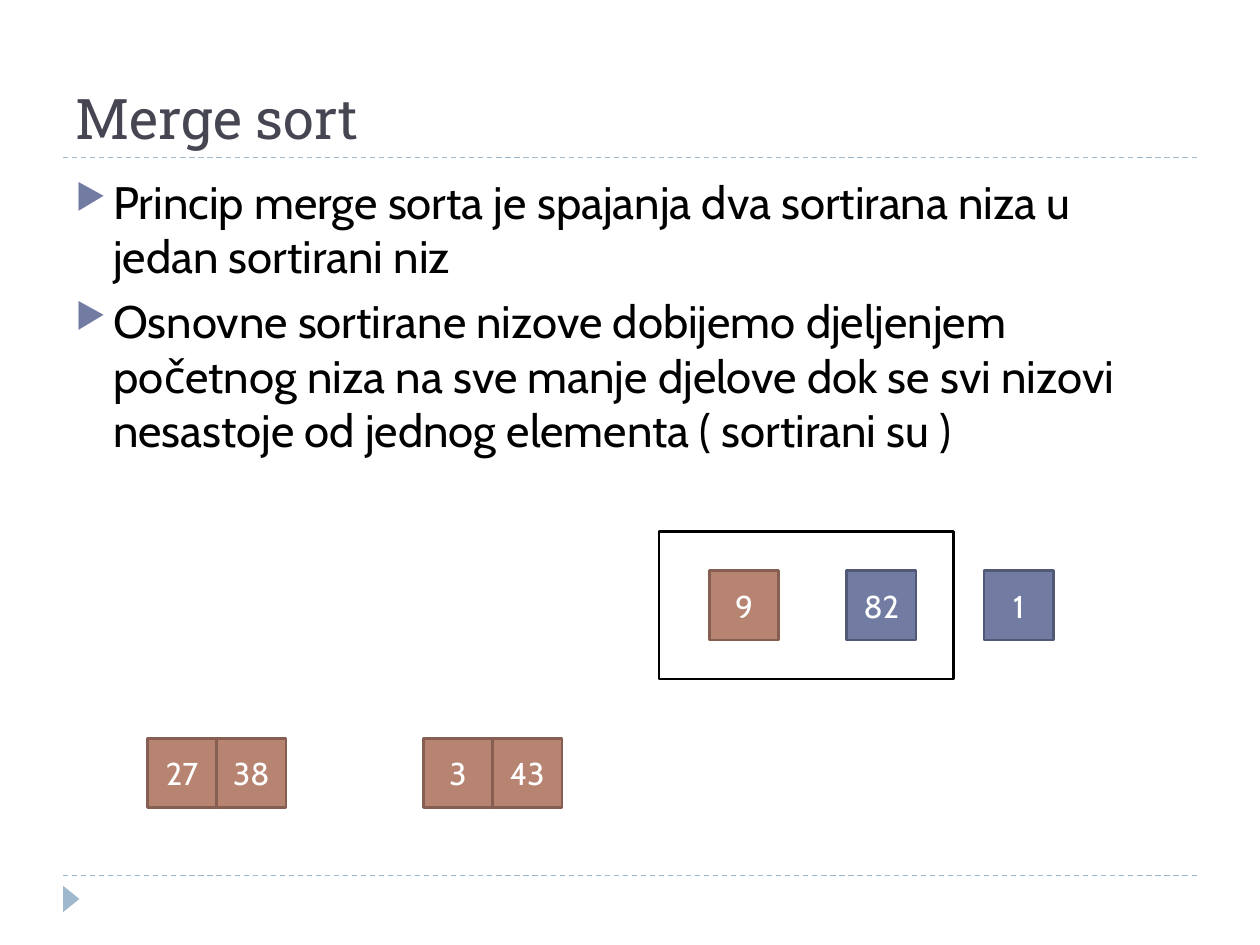
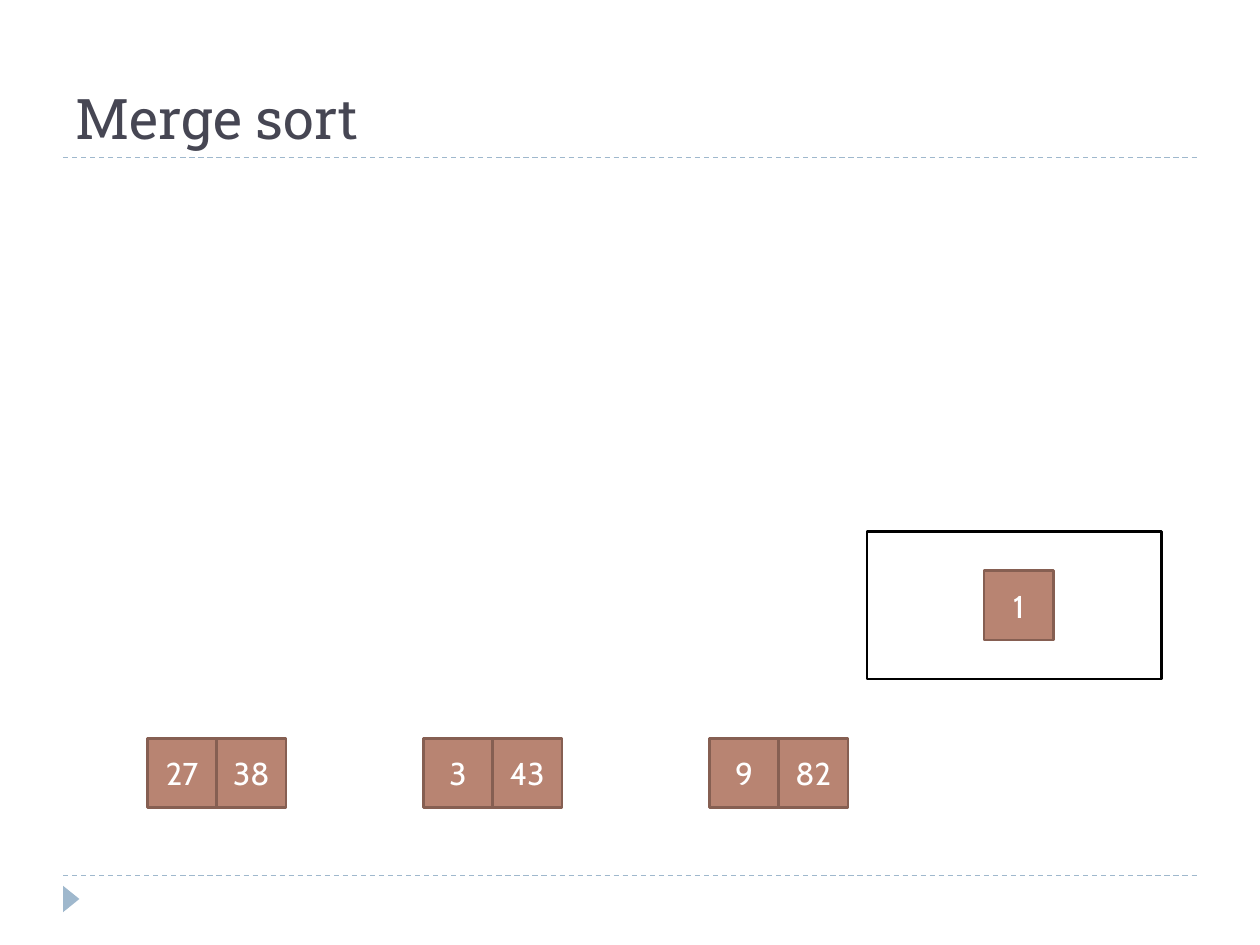
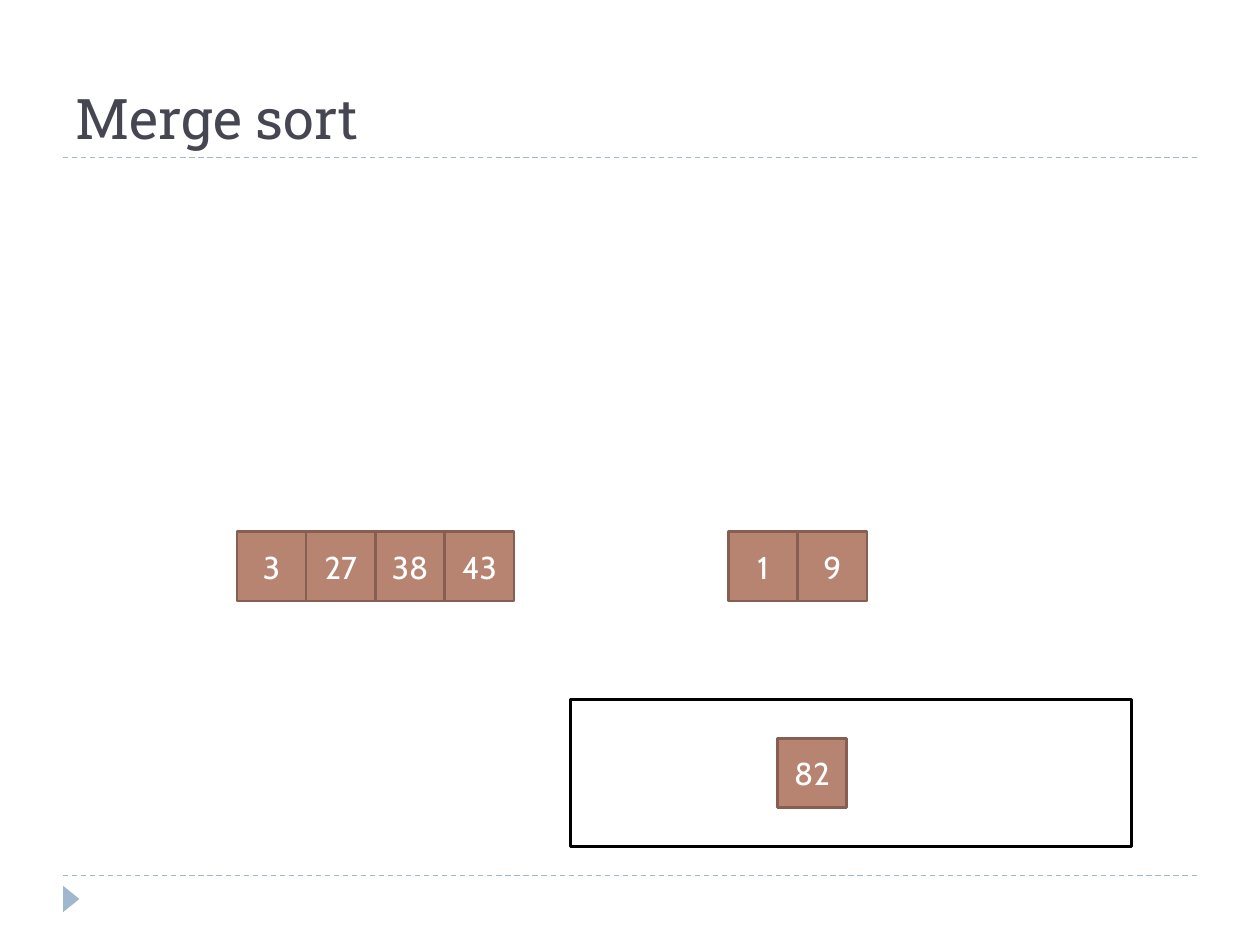
from dataclasses import dataclass

from lxml.etree import SubElement
from pptx import Presentation
from pptx.dml.color import RGBColor
from pptx.enum.dml import MSO_LINE
from pptx.enum.shapes import MSO_CONNECTOR, MSO_SHAPE
from pptx.enum.text import MSO_ANCHOR, MSO_AUTO_SIZE, PP_ALIGN
from pptx.oxml.ns import qn
from pptx.util import Pt

EMU_PER_PX = 9144
CELL = 55
TOP_ROW, SPLIT_ROW, MERGED_ROW = 422, 453, 586


@dataclass(frozen=True)
class Theme:
    """Colours, fonts and type sizes of the deck."""

    title: str = "464653"
    text: str = "000000"
    light: str = "FFFFFF"
    rule: str = "9FB8CD"
    bullet: str = "727CA3"
    active: tuple = ("B88472", "865F52")
    waiting: tuple = ("727CA3", "525977")
    title_font: str = "Roboto Slab"
    body_font: str = "Cabin"
    title_size: int = 32
    body_size: int = 26
    cell_size: int = 18


THEME = Theme()


def px(*lengths):
    """Turn px lengths into EMU."""
    return [length * EMU_PER_PX for length in lengths]


def rgb(value):
    """Turn a hex string into a colour."""
    return RGBColor.from_string(value)


def write(para, text, size, color, font=THEME.body_font, align=PP_ALIGN.LEFT, before=0):
    """Put formatted text into a paragraph."""
    para.alignment = align
    para.space_before = Pt(before)
    span = para.add_run()
    span.text = text
    span.font.name = font
    span.font.size = Pt(size)
    span.font.color.rgb = rgb(color)


def add_bullet(para):
    """Give a paragraph a hanging triangle bullet."""
    properties = para._p.get_or_add_pPr()
    indent = px(30)[0]
    properties.set("marL", str(indent))
    properties.set("indent", str(-indent))
    color = SubElement(properties, qn("a:buClr"))
    SubElement(color, qn("a:srgbClr"), val=THEME.bullet)
    SubElement(properties, qn("a:buSzPct"), val="76000")
    SubElement(properties, qn("a:buChar"), char="▶")


def add_rule(page, y):
    """Draw a dashed rule across the page."""
    rule = page.shapes.add_connector(MSO_CONNECTOR.STRAIGHT, *px(50, y, 950, y))
    rule.line.color.rgb = rgb(THEME.rule)
    rule.line.width = Pt(0.75)
    rule.line.dash_style = MSO_LINE.DASH
    SubElement(rule._element.spPr, qn("a:effectLst"))


def add_marker(page):
    """Draw the footer triangle."""
    marker = page.shapes.add_shape(MSO_SHAPE.ISOSCELES_TRIANGLE, *px(46, 707, 21, 13))
    marker.rotation = 90
    marker.shadow.inherit = False
    marker.fill.solid()
    marker.fill.fore_color.rgb = rgb(THEME.rule)
    marker.line.fill.background()


def add_page(deck, title):
    """Add a slide with its title, rules and footer marker."""
    page = deck.slides.add_slide(deck.slide_layouts[5])
    for y in (695, 125):
        add_rule(page, y)
    add_marker(page)
    heading = page.shapes.title
    heading.left, heading.top, heading.width, heading.height = px(50, 17, 900, 108)
    frame = heading.text_frame
    frame.auto_size = MSO_AUTO_SIZE.NONE
    frame.vertical_anchor = MSO_ANCHOR.BOTTOM
    write(frame.paragraphs[0], title, THEME.title_size, THEME.title, THEME.title_font)
    return page


def add_body(page, points):
    """Add the bulleted text."""
    frame = page.shapes.add_textbox(*px(50, 133, 900, 540)).text_frame
    frame.word_wrap = True
    for index, point in enumerate(points):
        para = frame.add_paragraph() if index else frame.paragraphs[0]
        add_bullet(para)
        write(para, point, THEME.body_size, THEME.text, before=6 if index else 0)


def add_box(page, left, top, width, height, line, fill=None):
    """Add a rectangle, hollow unless a fill is given."""
    box = page.shapes.add_shape(MSO_SHAPE.RECTANGLE, *px(left, top, width, height))
    box.shadow.inherit = False
    if fill:
        box.fill.solid()
        box.fill.fore_color.rgb = rgb(fill)
    else:
        box.fill.background()
    box.line.color.rgb = rgb(line)
    box.line.width = Pt(1.5)
    return box


def add_array(page, left, top, values, colors=THEME.active):
    """Draw array values as adjoining cells."""
    fill, line = colors
    for index, value in enumerate(values):
        cell = add_box(page, left + index * CELL, top, CELL, CELL, line, fill)
        frame = cell.text_frame
        frame.vertical_anchor = MSO_ANCHOR.MIDDLE
        write(frame.paragraphs[0], str(value), THEME.cell_size, THEME.light,
              align=PP_ALIGN.CENTER)


def add_focus(page, left, top, width):
    """Frame the arrays being merged."""
    add_box(page, left, top, width, 117, THEME.text)


def main():
    """Build and save the deck."""
    deck = Presentation()
    deck.slide_width, deck.slide_height = px(1000, 750)

    page = add_page(deck, "Merge sort")
    add_body(page, [
        "Princip merge sorta je spajanja dva sortirana niza u jedan sortirani niz",
        "Osnovne sortirane nizove dobijemo djeljenjem početnog niza na sve manje "
        "djelove dok se svi nizovi nesastoje od jednog elementa ( sortirani su )",
    ])
    add_array(page, 117, MERGED_ROW, [27, 38])
    add_array(page, 336, MERGED_ROW, [3, 43])
    add_array(page, 563, SPLIT_ROW, [9])
    add_array(page, 672, SPLIT_ROW, [82], THEME.waiting)
    add_array(page, 781, SPLIT_ROW, [1], THEME.waiting)
    add_focus(page, 523, TOP_ROW, 234)

    page = add_page(deck, "Merge sort")
    add_array(page, 117, MERGED_ROW, [27, 38])
    add_array(page, 336, MERGED_ROW, [3, 43])
    add_array(page, 563, MERGED_ROW, [9, 82])
    add_array(page, 781, SPLIT_ROW, [1])
    add_focus(page, 688, TOP_ROW, 234)

    page = add_page(deck, "Merge sort")
    add_array(page, 188, TOP_ROW, [3, 27, 38, 43])
    add_array(page, 578, TOP_ROW, [1, 9])
    add_array(page, 617, MERGED_ROW, [82])
    add_focus(page, 453, 555, 445)

    deck.save("out.pptx")


if __name__ == "__main__":
    main()
